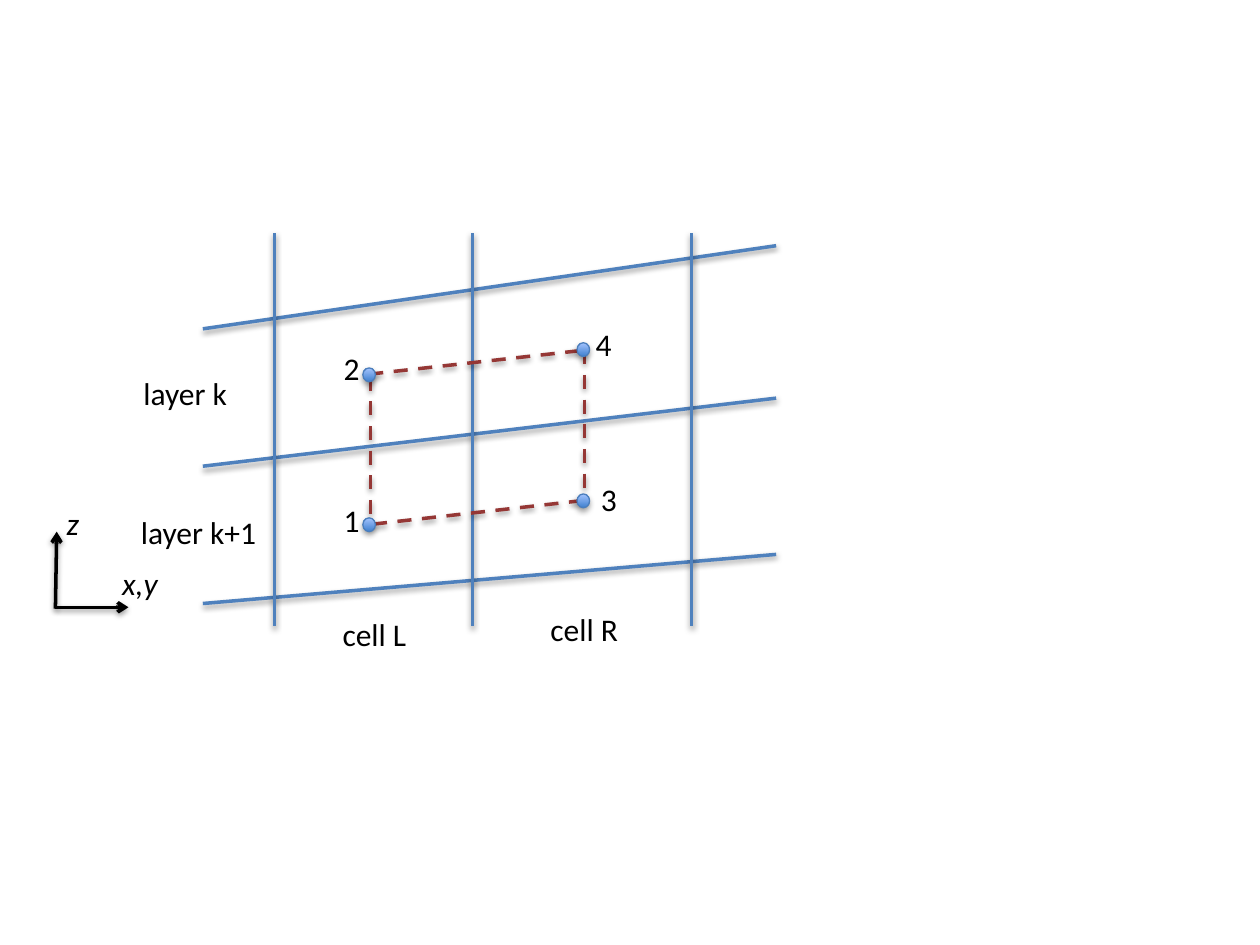
from typing import NamedTuple

from lxml.etree import SubElement
from pptx import Presentation
from pptx.dml.color import RGBColor
from pptx.enum.dml import MSO_LINE
from pptx.enum.shapes import MSO_CONNECTOR, MSO_SHAPE
from pptx.enum.text import MSO_AUTO_SIZE
from pptx.oxml.ns import qn
from pptx.util import Inches, Pt

BLUE, RED, BLACK = "4F81BD", "953735", "000000"
DOT_W, DOT_H = 0.1, 0.11


class Line(NamedTuple):
    x1: float
    y1: float
    x2: float
    y2: float
    color: str
    dashed: bool = False
    arrow: bool = False


class Label(NamedTuple):
    text: str
    left: float
    top: float
    width: float
    italic: bool = False


def rgb(color: str) -> RGBColor:
    return RGBColor.from_string(color)


def add_shadow(sp, dist: int, alpha: int) -> None:
    effects = SubElement(sp._element.spPr, qn("a:effectLst"))
    shadow = SubElement(effects, qn("a:outerShdw"), blurRad="40000", dist=str(dist),
                        dir="5400000", rotWithShape="0")
    clr = SubElement(shadow, qn("a:srgbClr"), val=BLACK)
    SubElement(clr, qn("a:alpha"), val=str(alpha * 1000))


def draw_line(shapes, line: Line) -> None:
    sp = shapes.add_connector(MSO_CONNECTOR.STRAIGHT, Inches(line.x1), Inches(line.y1),
                              Inches(line.x2), Inches(line.y2))
    sp.line.color.rgb = rgb(line.color)
    sp.line.width = Pt(2)
    if line.dashed:
        sp.line.dash_style = MSO_LINE.DASH
    if line.arrow:
        SubElement(sp.line._get_or_add_ln(), qn("a:tailEnd"), type="arrow")
    add_shadow(sp, 20000, 38)


def draw_dot(shapes, left: float, top: float) -> None:
    sp = shapes.add_shape(MSO_SHAPE.OVAL, Inches(left), Inches(top),
                          Inches(DOT_W), Inches(DOT_H))
    sp.fill.gradient()
    sp.fill.gradient_angle = 90
    for stop, color in zip(sp.fill.gradient_stops, ("3F80CE", "A4C4FF")):
        stop.color.rgb = rgb(color)
    sp.line.color.rgb = rgb("4B7EBC")
    sp.line.width = Pt(0.75)
    add_shadow(sp, 23000, 35)


def draw_label(shapes, label: Label) -> None:
    sp = shapes.add_textbox(Inches(label.left), Inches(label.top),
                            Inches(label.width), Inches(0.4))
    tf = sp.text_frame
    tf.word_wrap = False
    tf.auto_size = MSO_AUTO_SIZE.SHAPE_TO_FIT_TEXT
    r = tf.paragraphs[0].add_run()
    r.text = label.text
    r.font.name = "Calibri"
    r.font.size = Pt(18)
    r.font.italic = label.italic
    r.font.color.rgb = rgb(BLACK)


LAYERS = [Line(1.61, left_y, 6.16, right_y, BLUE)
          for left_y, right_y in ((2.61, 1.95), (3.7, 3.16), (4.79, 4.4))]
CELL_EDGES = [Line(x, 1.85, x, 4.97, BLUE) for x in (2.18, 3.75, 5.49)]
LINKS = [
    Line(2.93, 2.97, 4.63, 2.78, RED, dashed=True),
    Line(2.96, 4.16, 4.65, 3.97, RED, dashed=True),
    Line(2.94, 2.99, 2.94, 4.19, RED, dashed=True),
    Line(4.64, 2.78, 4.64, 3.97, RED, dashed=True),
]
DOTS = [(2.88, 2.92), (4.58, 2.72), (2.88, 4.11), (4.58, 3.92)]
AXES = [
    Line(0.44, 4.83, 0.45, 4.22, BLACK, arrow=True),
    Line(0.44, 4.82, 1.02, 4.82, BLACK, arrow=True),
]
LABELS = [
    Label("layer k", 1.04, 2.92, 0.88),
    Label("layer k+1", 1.02, 4.02, 1.13),
    Label("cell L", 2.62, 4.83, 0.72),
    Label("cell R", 4.27, 4.79, 0.75),
    Label("2", 2.63, 2.72, 0.33),
    Label("1", 2.63, 3.93, 0.33),
    Label("4", 4.63, 2.53, 0.33),
    Label("3", 4.67, 3.76, 0.33),
    Label("z", 0.43, 3.95, 0.36, italic=True),
    Label("x,y", 0.87, 4.43, 0.55, italic=True),
]


def main() -> None:
    """Build the slide of a sloping layer grid with four linked cell points."""
    prs = Presentation()
    prs.slide_width, prs.slide_height = Inches(10), Inches(7.5)
    s = prs.slides.add_slide(prs.slide_layouts[6])
    grid = s.shapes.add_group_shape()
    for line in LAYERS + CELL_EDGES:
        draw_line(grid.shapes, line)
    for line in LINKS:
        draw_line(s.shapes, line)
    for left, top in DOTS:
        draw_dot(s.shapes, left, top)
    for line in AXES:
        draw_line(s.shapes, line)
    for label in LABELS:
        draw_label(s.shapes, label)
    prs.save("out.pptx")


main()
